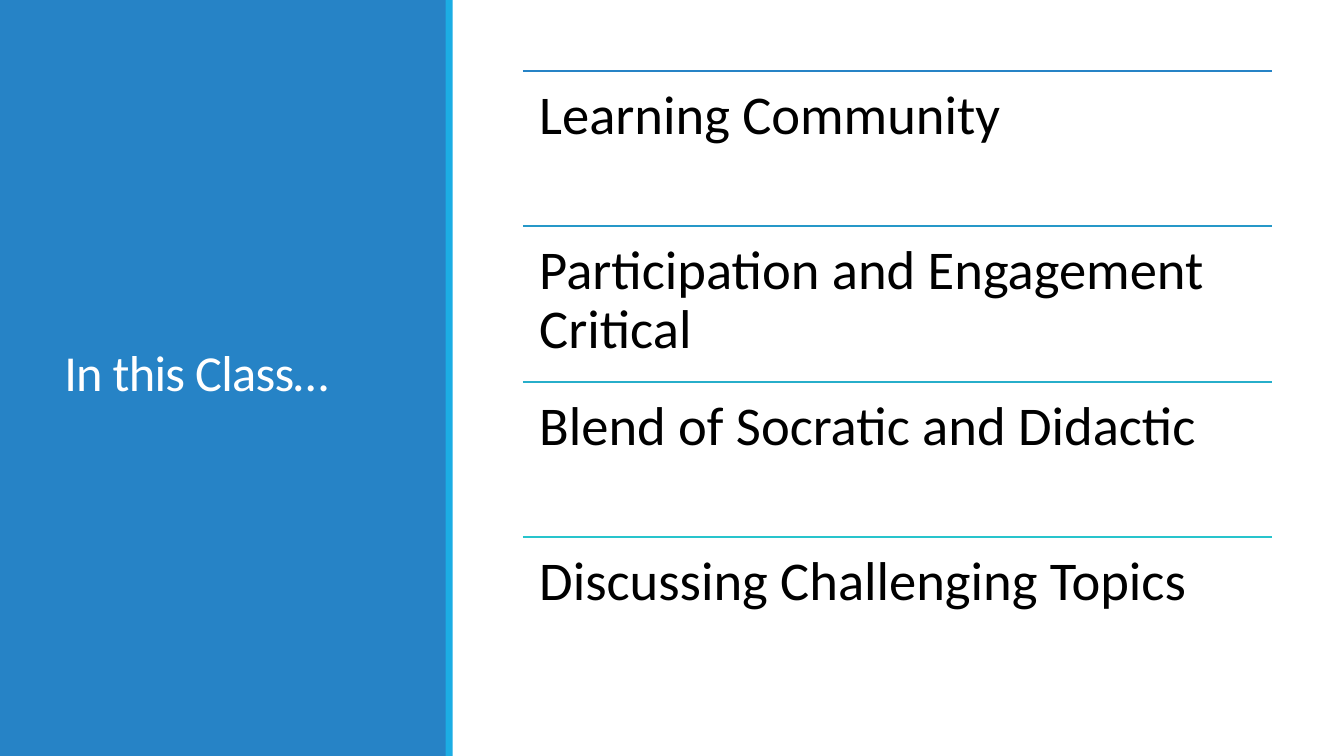
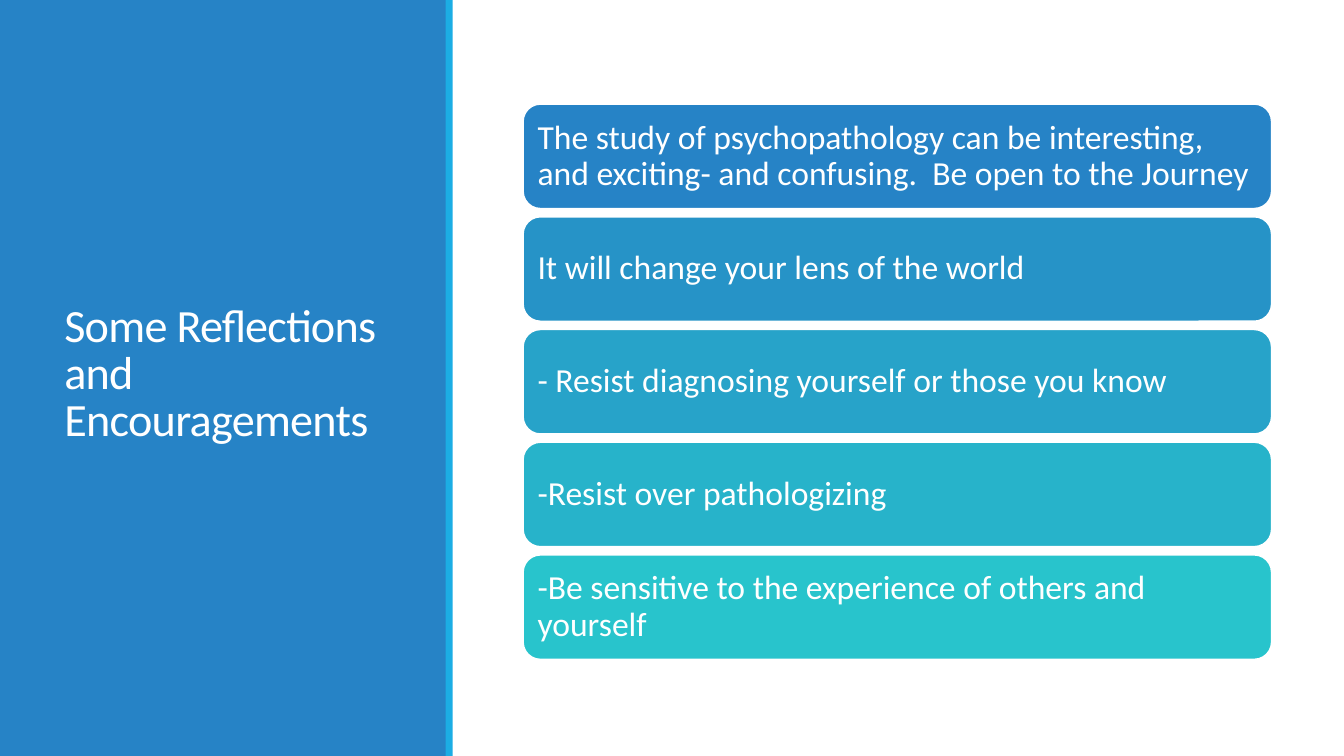
"""Build two class slides with a blue title panel and stepped colour rows."""
from dataclasses import dataclass

from lxml.etree import SubElement
from pptx import Presentation
from pptx.dml.color import RGBColor
from pptx.enum.shapes import MSO_CONNECTOR, MSO_SHAPE
from pptx.enum.text import MSO_ANCHOR, MSO_AUTO_SIZE, PP_ALIGN
from pptx.oxml.ns import qn
from pptx.shapes.autoshape import Shape
from pptx.slide import Slide
from pptx.util import Cm, Pt

HUES = {
    "panel": "2683C6",
    "stripe": "1CADE4",
    "last": "28C4CC",
    "white": "FFFFFF",
    "black": "000000",
}
FONT = "Calibri"
LEFT, WIDTH = 13.18, 18.87


@dataclass
class Band:
    left: float
    width: float
    hue: str


@dataclass
class Page:
    title: str
    size: int
    rows: list[str]
    boxed: bool


@dataclass
class Row:
    text: str
    top: float
    hue: str


BANDS = [Band(0, 11.25, "panel"), Band(11.23, 0.18, "stripe")]
PAGES = [
    Page("In this Class…", 36, [
        "Learning Community",
        "Participation and Engagement Critical",
        "Blend of Socratic and Didactic",
        "Discussing Challenging Topics",
    ], False),
    Page("Some Reflections and Encouragements", 33, [
        "The study of psychopathology can be interesting, and exciting- and confusing.  Be open to the Journey",
        "It will change your lens of the world",
        "- Resist diagnosing yourself or those you know",
        "-Resist over pathologizing",
        "-Be sensitive to the experience of others and yourself",
    ], True),
]


def blend(part: float) -> str:
    first, last = (RGBColor.from_string(HUES[key]) for key in ("panel", "last"))
    return "".join(f"{int(a + (b - a) * part):02X}" for a, b in zip(first, last))


def write(shape: Shape, text: str, size: int, hue: str, space: float,
          anchor: MSO_ANCHOR, inset: float) -> None:
    frame = shape.text_frame
    frame.text = text
    frame.word_wrap = True
    frame.auto_size = MSO_AUTO_SIZE.NONE
    frame.vertical_anchor = anchor
    frame.margin_left = frame.margin_right = Cm(inset)
    frame.margin_top = frame.margin_bottom = Cm(inset)
    para = frame.paragraphs[0]
    para.alignment = PP_ALIGN.LEFT
    para.line_spacing = space
    para.font.name = FONT
    para.font.size = Pt(size)
    para.font.color.rgb = RGBColor.from_string(HUES[hue])


def add_block(slide: Slide, kind: MSO_SHAPE, left: float, top: float,
              width: float, height: float, hue: str) -> Shape:
    block = slide.shapes.add_shape(kind, Cm(left), Cm(top), Cm(width), Cm(height))
    block.shadow.inherit = False
    block.fill.solid()
    block.fill.fore_color.rgb = RGBColor.from_string(hue)
    block.line.fill.background()
    return block


def add_title(slide: Slide, page: Page) -> None:
    title = slide.shapes.title
    for band in BANDS:
        block = add_block(slide, MSO_SHAPE.RECTANGLE, band.left, 0,
                          band.width, 19.05, HUES[band.hue])
        title.element.addprevious(block.element)
    title.left, title.top = Cm(1.37), Cm(1.45)
    title.width, title.height = Cm(8.56), Cm(16.03)
    write(title, page.title, page.size, "white", 0.85, MSO_ANCHOR.MIDDLE, 0.25)
    for run in title.text_frame.paragraphs[0].runs:
        run._r.get_or_add_rPr().set("spc", "-50")


def add_ruled(slide: Slide, row: Row) -> None:
    rule = slide.shapes.add_connector(
        MSO_CONNECTOR.STRAIGHT, Cm(LEFT), Cm(row.top), Cm(LEFT + WIDTH), Cm(row.top))
    rule.line.color.rgb = RGBColor.from_string(row.hue)
    rule.line.width = Pt(1.25)
    SubElement(rule.element.spPr, qn("a:effectLst"))
    box = slide.shapes.add_textbox(Cm(LEFT), Cm(row.top), Cm(WIDTH), Cm(3.92))
    write(box, row.text, 39, "black", 0.9, MSO_ANCHOR.TOP, 0.41)


def add_boxed(slide: Slide, row: Row) -> None:
    box = add_block(slide, MSO_SHAPE.ROUNDED_RECTANGLE, LEFT, row.top,
                    WIDTH, 2.64, row.hue)
    box.line.color.rgb = RGBColor.from_string(HUES["white"])
    box.line.width = Pt(1.25)
    write(box, row.text, 24, "white", 0.9, MSO_ANCHOR.MIDDLE, 0.24)


def add_rows(slide: Slide, page: Page) -> None:
    top, step, draw = (2.62, 2.84, add_boxed) if page.boxed else (1.78, 3.92, add_ruled)
    for i, text in enumerate(page.rows):
        draw(slide, Row(text, top + i * step, blend(i / (len(page.rows) - 1))))


def main() -> None:
    deck = Presentation()
    deck.slide_width, deck.slide_height = Cm(33.87), Cm(19.05)
    for page in PAGES:
        slide = deck.slides.add_slide(deck.slide_layouts.get_by_name("Title Only"))
        add_title(slide, page)
        add_rows(slide, page)
    deck.save("out.pptx")


if __name__ == "__main__":
    main()
